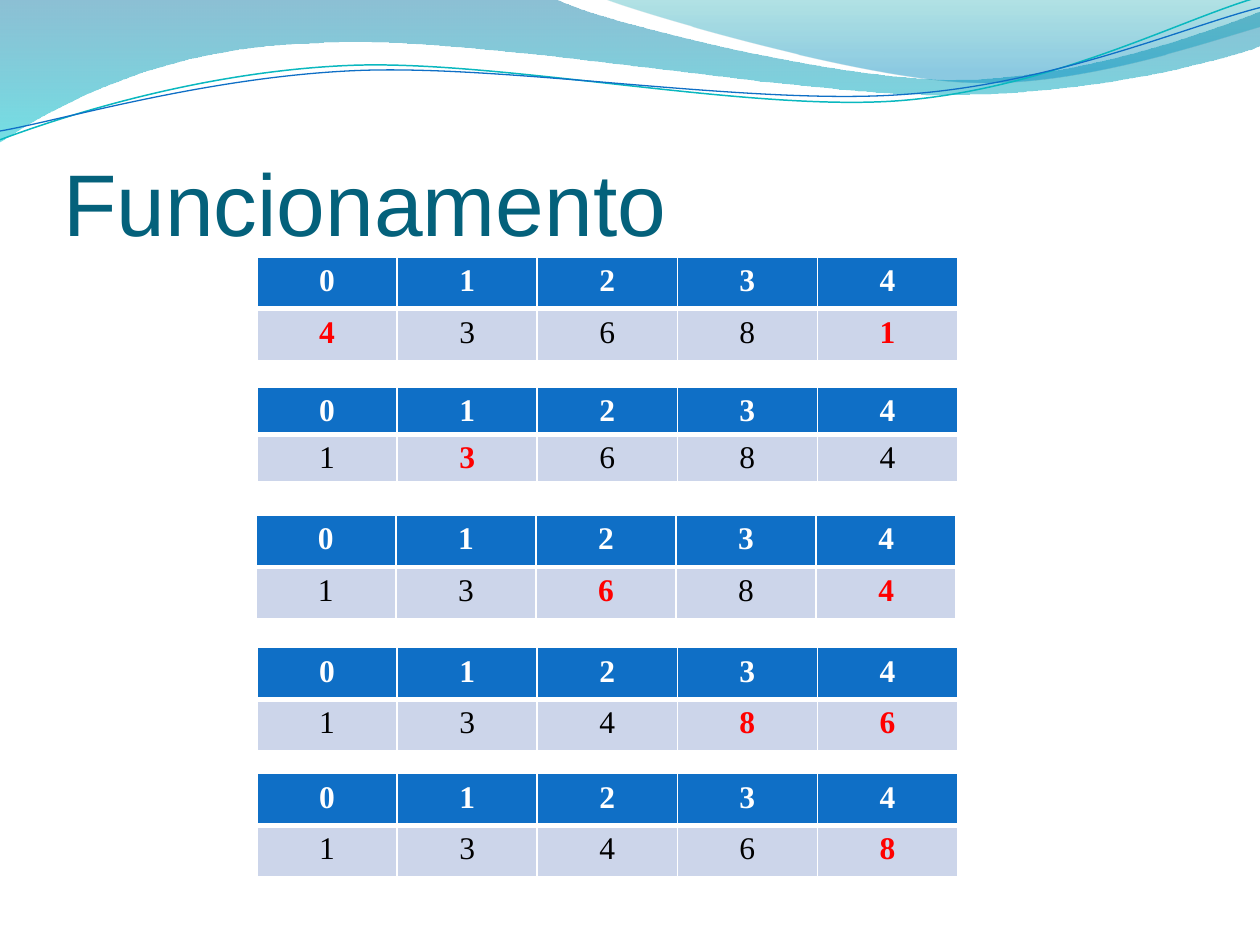
import math

from lxml import etree
from pptx import Presentation
from pptx import util as u
from pptx.dml import color
from pptx.enum import text
from pptx.oxml import ns

WHITE, BLACK, RED = "FFFFFF", "000000", "FF0000"
HEADER_BLUE, ROW_BLUE, TITLE_BLUE = "0F6FC6", "CCD5EA", "04617B"
WAVE_TILT = 357.3

BANDS = [
    ((-0.01, -0.01, 10.02, 1.14),
     [[(0, 0)], [(4.4, -0.01)],
      [(4.76, 0.17), (6.64, 0.63), (7.58, 0.63)],
      [(8.53, 0.63), (9.58, 0.26), (10, 0.09)],
      [(10.01, 0.36)],
      [(9.83, 0.44), (8.7, 0.76), (7.46, 0.75)],
      [(6.22, 0.75), (3.82, 0.28), (2.57, 0.34)],
      [(1.29, 0.36), (0.46, 0.83), (-0.01, 1.13)],
      [(0, 0)]],
     [(0, "0074A1", 45), (1, "00C6CF", 55)]),
    ((4.79, -0.01, 5.21, 0.7),
     [[(4.79, -0.01)],
      [(5.09, 0.11), (6.82, 0.62), (7.69, 0.65)],
      [(8.56, 0.69), (9.61, 0.32), (10, 0.21)],
      [(10, 0)], [(4.79, -0.01)]],
     [(0, "00A1A9", 30), (0.8, "008BBF", 45)]),
]
WAVES = [
    ((-0.02, 0.22, 10.02, 0.71),
     [[(0, 1.11)],
      [(0.48, 0.93), (1.58, 0.57), (2.77, 0.52)],
      [(3.95, 0.47), (5.93, 0.89), (7.13, 0.8)],
      [(8.33, 0.71), (9.38, 0.15), (9.98, -0.02)]], "0AB8BF", 0.85),
    ((-0.02, 0.3, 10.03, 0.58),
     [[(0, 1.04)],
      [(0.47, 0.96), (1.64, 0.61), (2.83, 0.56)],
      [(4.03, 0.51), (5.97, 0.84), (7.17, 0.75)],
      [(8.36, 0.67), (9.41, 0.21), (10, 0.06)]], HEADER_BLUE, 0.75),
]
SORT_STEPS = [
    (2.04, 2.04, 0.81, 0.41, "43681", {0, 4}),
    (2.04, 3.07, 0.8, 0.18, "13684", {1}),
    (2.04, 5.14, 0.81, 0.41, "13486", {3, 4}),
    (2.04, 6.14, 0.81, 0.41, "13468", {4}),
    (2.03, 4.09, 0.81, 0.41, "13684", {2, 4}),
]


def rgb(value):
    """Return the colour for a hex string."""
    return color.RGBColor.from_string(value)


def turn(point, box, degrees):
    """Turn a point clockwise about the centre of a box."""
    left, top, width, height = box
    x, y = left + width / 2, top + height / 2
    dx, dy = point[0] - x, point[1] - y
    cosine, sine = math.cos(math.radians(degrees)), math.sin(math.radians(degrees))
    return x + dx * cosine - dy * sine, y + dx * sine + dy * cosine


def add_outline(slide, box, segments, close, rotation=0):
    """Add a freeform of straight and cubic segments within a box."""
    left, top, width, height = (u.Inches(length) for length in box)
    builder = slide.shapes.build_freeform(left, top)
    builder.add_line_segments([(left + width, top + height)], close=False)
    shape = builder.convert_to_shape()
    shape.shadow.inherit = False
    shape.rotation = rotation
    outline = shape.element.spPr.find(".//" + ns.qn("a:path"))
    for command in list(outline):
        outline.remove(command)
    for index, points in enumerate(segments):
        tag = "a:cubicBezTo" if len(points) == 3 else "a:lnTo" if index else "a:moveTo"
        command = etree.SubElement(outline, ns.qn(tag))
        for point in points:
            x, y = turn(point, box, -rotation)
            etree.SubElement(command, ns.qn("a:pt"), x=str(u.Inches(x) - left),
                             y=str(u.Inches(y) - top))
    if close:
        etree.SubElement(outline, ns.qn("a:close"))
    return shape


def add_band(slide, box, segments, stops):
    """Add a band with a translucent vertical gradient."""
    shape = add_outline(slide, box, segments, close=True)
    shape.line.fill.background()
    shape.fill.gradient()
    shape.fill.gradient_angle = 270
    for stop, (position, value, _) in zip(shape.fill.gradient_stops, stops):
        stop.position = position
        stop.color.rgb = rgb(value)
    colours = shape.element.spPr.findall(".//" + ns.qn("a:srgbClr"))
    for colour, (_, _, opacity) in zip(colours, stops):
        etree.SubElement(colour, ns.qn("a:alpha"), val=str(opacity * 1000))


def add_wave(slide, box, segments, value, width):
    """Add an open curved line."""
    shape = add_outline(slide, box, segments, close=False, rotation=WAVE_TILT)
    shape.fill.background()
    shape.line.color.rgb = rgb(value)
    shape.line.width = u.Pt(width)


def write(frame, content, *, font, size, value, bold=False, align=text.PP_ALIGN.CENTER):
    """Write one formatted paragraph into a text frame."""
    paragraph = frame.paragraphs[0]
    paragraph.alignment = align
    run = paragraph.add_run()
    run.text = content
    run.font.name = font
    run.font.size = u.Pt(size)
    run.font.bold = bold
    run.font.color.rgb = rgb(value)


def place_title(slide, content):
    """Place and format the title in front of the waves."""
    title = slide.shapes.title
    slide.shapes.element.append(title.element)
    title.left, title.top = u.Inches(0.5), u.Inches(0.77)
    title.width, title.height = u.Inches(9.08), u.Inches(1.25)
    frame = title.text_frame
    frame.auto_size = text.MSO_AUTO_SIZE.NONE
    frame.vertical_anchor = text.MSO_ANCHOR.BOTTOM
    frame.margin_left = frame.margin_right = frame.margin_bottom = 0
    frame.margin_top = u.Inches(0.05)
    write(frame, content, font="Arial", size=50, value=TITLE_BLUE,
          align=text.PP_ALIGN.LEFT)


def set_borders(cell, **widths):
    """Draw white borders of the given point widths around a cell."""
    properties = cell._tc.get_or_add_tcPr()
    for side, width in widths.items():
        line = etree.SubElement(properties, ns.qn("a:ln" + side), w=str(u.Pt(width)))
        fill = etree.SubElement(line, ns.qn("a:solidFill"))
        etree.SubElement(fill, ns.qn("a:srgbClr"), val=WHITE)


def add_array(slide, left, top, height, row_height, values, marked):
    """Add a table of indexes above values, with marked values in red."""
    shape = slide.shapes.add_table(2, len(values), u.Inches(left), u.Inches(top),
                                   u.Inches(5.56), u.Inches(height))
    table = shape.table
    for row in table.rows:
        row.height = u.Inches(row_height)
    shape.height = u.Inches(height)
    for index, value in enumerate(values):
        is_marked = index in marked
        rows = [
            (str(index), HEADER_BLUE, WHITE, True, {"T": 1, "B": 3}),
            (value, ROW_BLUE, RED if is_marked else BLACK, is_marked, {"T": 1, "B": 1}),
        ]
        for row, (content, fill, ink, bold, edges) in enumerate(rows):
            cell = table.cell(row, index)
            set_borders(cell, L=1, R=1, **edges)
            cell.fill.solid()
            cell.fill.fore_color.rgb = rgb(fill)
            write(cell.text_frame, content, font="Times New Roman", size=18,
                  value=ink, bold=bold)


def main():
    """Build the slide and save it."""
    presentation = Presentation()
    presentation.slide_width, presentation.slide_height = u.Inches(10), u.Inches(7.5)
    slide = presentation.slides.add_slide(presentation.slide_layouts[5])
    for band in BANDS:
        add_band(slide, *band)
    for wave in WAVES:
        add_wave(slide, *wave)
    place_title(slide, "Funcionamento")
    for step in SORT_STEPS:
        add_array(slide, *step)
    presentation.save("out.pptx")


main()
